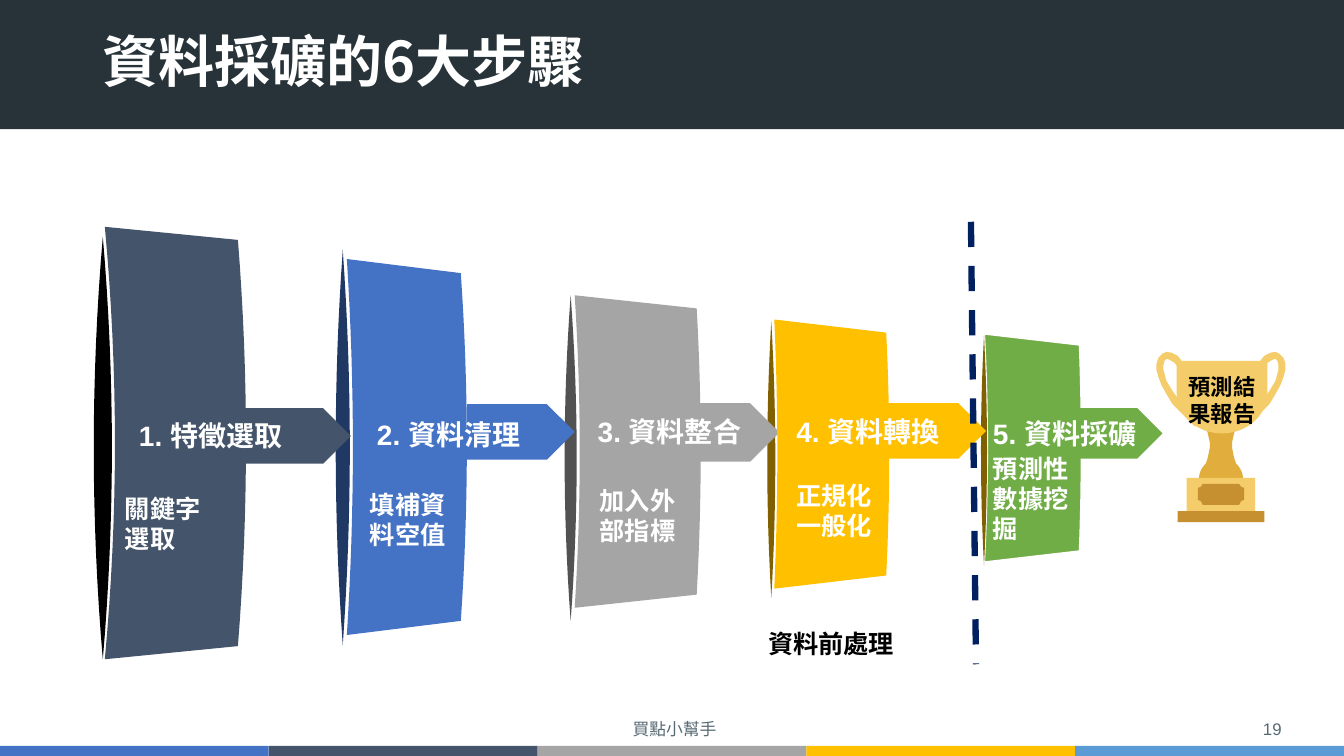
"""Build the slide on the six steps of data mining."""
from math import cos, pi, sin

from lxml import etree
from pptx import Presentation
from pptx.dml.color import RGBColor
from pptx.enum.dml import MSO_LINE
from pptx.enum.shapes import MSO_CONNECTOR, MSO_SHAPE
from pptx.enum.text import MSO_ANCHOR, PP_ALIGN
from pptx.oxml.ns import qn
from pptx.util import Inches, Pt

RECT, PLATE = MSO_SHAPE.RECTANGLE, MSO_SHAPE.PENTAGON
LINE, DASH = MSO_CONNECTOR.STRAIGHT, MSO_LINE.DASH
TOP, MID = MSO_ANCHOR.TOP, MSO_ANCHOR.MIDDLE
LEFT, CENTER, RIGHT = PP_ALIGN.LEFT, PP_ALIGN.CENTER, PP_ALIGN.RIGHT
SANS, CJK = "Arial", "Noto Sans CJK SC"
WHITE, BLACK, GREY = "FFFFFF", "000000", "576973"
SLATE, BLUE, SILVER, GOLD, GREEN = "44546A", "4472C4", "A5A5A5", "FFC000", "70AD47"
PALE, AMBER, BRONZE = "F4CC6A", "E1AD3D", "C68F30"


def tint(code):
    return RGBColor.from_string(code)


def arc(x, top, bot, bulge, steps=16):
    """Return points down a shallow curve that is widest halfway."""
    marks = [2 * i / steps - 1 for i in range(steps + 1)]
    return [(x + bulge * (1 - t * t), (top + bot + t * (bot - top)) / 2) for t in marks]


def flip(points, axis):
    return [(2 * axis - x, y) for x, y in points]


class Deck:
    """Hold the style and the current slide."""

    def __init__(self):
        self.file = Presentation()
        self.file.slide_width, self.file.slide_height = Inches(13.33), Inches(7.5)
        self.slide = self.file.slides.add_slide(self.file.slide_layouts[6])
        self.shapes = self.slide.shapes

    def paint(self, shape, fill, edge=None):
        shape.shadow.inherit = False
        shape.fill.solid()
        shape.fill.fore_color.rgb = tint(fill)
        if edge:
            shape.line.color.rgb = tint(edge)
            shape.line.width = Pt(1.5)
        else:
            shape.line.fill.background()
        return shape

    def block(self, kind, box, fill):
        return self.paint(self.shapes.add_shape(kind, *map(Inches, box)), fill)

    def form(self, points, fill, edge=None):
        spots = [(Inches(x), Inches(y)) for x, y in points]
        pen = self.shapes.build_freeform(*spots[0], scale=1.0)
        pen.add_line_segments(spots[1:], close=True)
        return self.paint(pen.convert_to_shape(), fill, edge)

    def label(self, shape, words, size, color, bold=True, align=LEFT, anchor=MID, face=SANS):
        frame = shape.text_frame
        frame.text = words
        frame.word_wrap = True
        frame.vertical_anchor = anchor
        for para in frame.paragraphs:
            para.alignment = align
            for run in para.runs:
                font = run.font
                font.name, font.size, font.bold = face, Pt(size), bold
                font.color.rgb = tint(color)
                east = etree.SubElement(run._r.get_or_add_rPr(), qn("a:ea"))
                east.set("typeface", CJK)
        return frame

    def text(self, box, words, size, color=WHITE, **style):
        return self.label(self.shapes.add_textbox(*map(Inches, box)), words, size, color, **style)

    def rule(self, start, end, color, width):
        line = self.shapes.add_connector(LINE, *map(Inches, start + end))
        line.line.color.rgb = tint(color)
        line.line.width = Pt(width)
        line.line.dash_style = DASH
        etree.SubElement(line._element.spPr, qn("a:effectLst"))

    def drum(self, left, right, top, bot, dip, near, far, fill, edge=None):
        outer = arc(right, top + dip, bot - dip, far)
        self.form(outer + arc(left, top, bot, near)[::-1], fill, edge)

    def lens(self, x, top, bot, bulge, fill):
        self.form(arc(x, top, bot, bulge) + arc(x, top, bot, -bulge)[::-1], fill)

    def cup(self, words):
        axis = 12.11
        ear = [(11.85, 4.23), (11.72, 4.1), (11.63, 4.01), (11.57, 3.91), (11.52, 3.82),
               (11.49, 3.74), (11.47, 3.67), (11.47, 3.61), (11.49, 3.55), (11.53, 3.51),
               (11.57, 3.49), (11.62, 3.5), (11.68, 3.53), (11.72, 3.58), (11.75, 3.62),
               (11.77, 3.68), (11.78, 3.76), (11.71, 3.76), (11.7, 3.69), (11.68, 3.64),
               (11.65, 3.6), (11.6, 3.57), (11.57, 3.56), (11.55, 3.58), (11.54, 3.62),
               (11.54, 3.67), (11.57, 3.78), (11.63, 3.88), (11.69, 3.96), (11.77, 4.05),
               (11.9, 4.18)]
        for points in (ear, flip(ear, axis)):
            self.form(points, PALE)
        stem = [(11.96, 4.24), (11.98, 4.3), (12, 4.39), (12, 4.44), (11.98, 4.54), (11.96, 4.6)]
        self.form(stem + flip(stem, axis)[::-1], AMBER)
        turns = [pi * i / 24 for i in range(25)]
        curve = [(12.12 + 0.45 * cos(a), 3.9 + 0.4 * sin(a)) for a in turns]
        bowl = self.form([(11.67, 3.58), (12.57, 3.58)] + curve, PALE)
        frame = self.label(bowl, words, 16, BLACK, align=CENTER)
        frame.margin_top = Inches(0.1)
        self.form([(axis + 0.22 * cos(a), 4.76 - 0.22 * sin(a)) for a in turns], AMBER)
        self.block(RECT, (11.68, 5.07, 0.86, 0.11), BRONZE)
        self.block(RECT, (11.77, 4.74, 0.68, 0.33), PALE)
        side = [(11.93, 4.8), (11.91, 4.83), (11.88, 4.84), (11.88, 4.96), (11.91, 4.97), (11.93, 5.01)]
        self.form(side + flip(side, axis)[::-1], BRONZE)


def main():
    deck = Deck()
    deck.block(RECT, (0, -0.01, 13.33, 1.29), "273339")
    band = 13.33 / 5
    for i, fill in enumerate((BLUE, SLATE, SILVER, GOLD, "5B9BD5")):
        deck.block(RECT, (i * band, 7.4, band, 0.1), fill)
    title = deck.text((0.92, 0.27, 11.5, 0.74), "資料採礦的6大步驟", 40, face=CJK)
    title.paragraphs[0].line_spacing = 0.9

    deck.drum(9.76, 10.71, 3.31, 5.58, 0.11, 0.03, 0.02, GREEN, WHITE)
    deck.cup("預測結果報告")
    for lens in (
        (1.02, 2.35, 6.54, 0.09, BLACK),
        (3.4, 2.48, 6.4, 0.07, "203864"),
        (5.66, 2.93, 6.16, 0.06, "525252"),
        (7.65, 3.19, 5.93, 0.04, "806000"),
        (9.76, 3.33, 5.61, 0.03, "806000"),
    ):
        deck.lens(*lens)
    for box, fill in (
        ((2.36, 4.05, 1.12, 0.55), SLATE),
        ((4.63, 4.01, 1.07, 0.55), BLUE),
        ((6.64, 4, 1.09, 0.58), SILVER),
        ((8.69, 4, 1.09, 0.55), GOLD),
        ((10.63, 4.05, 0.9, 0.5), GREEN),
    ):
        deck.block(PLATE, box, fill)
    for drum in (
        (1.04, 2.36, 2.25, 6.54, 0.13, 0.1, 0.08, SLATE),
        (3.44, 4.57, 2.57, 6.3, 0.14, 0.06, 0.06, BLUE),
        (5.7, 6.91, 2.93, 6.03, 0.13, 0.05, 0.04, SILVER),
        (7.68, 8.79, 3.17, 5.84, 0.13, 0.03, 0.03, GOLD),
    ):
        deck.drum(*drum)
    deck.rule((9.63, 2.2), (9.68, 6.59), "002060", 4.5)

    for box, words in (
        ((1.28, 4.1, 1.63, 0.44), "1. 特徵選取"),
        ((3.64, 4.09, 2.01, 0.44), "2. 資料清理"),
        ((5.83, 4.06, 2.03, 0.44), "3. 資料整合"),
        ((7.8, 4.06, 1.91, 0.44), "4. 資料轉換"),
        ((9.75, 4.08, 1.92, 0.44), "5. 資料採礦"),
    ):
        deck.text(box, words, 20)
    for box, words in (
        ((1.14, 4.84, 1.27, 0.71), "關鍵字\n選取"),
        ((3.57, 4.8, 1.09, 0.71), "填補資料空值"),
        ((5.85, 4.76, 1.09, 0.71), "加入外部指標"),
        ((7.8, 4.71, 1.09, 0.71), "正規化\n一般化"),
        ((9.75, 4.44, 1.09, 1.01), "預測性數據挖掘"),
    ):
        deck.text(box, words, 18)
    deck.text((7.52, 6.18, 1.6, 0.4), "資料前處理", 18, BLACK, anchor=TOP)
    deck.text((9.81, 7.07, 3, 0.31), "19", 12, GREY, bold=False, align=RIGHT)
    deck.text((4.44, 7.07, 4.5, 0.31), "買點小幫手", 12, GREY, bold=False, align=CENTER)
    deck.file.save("out.pptx")


if __name__ == "__main__":
    main()
